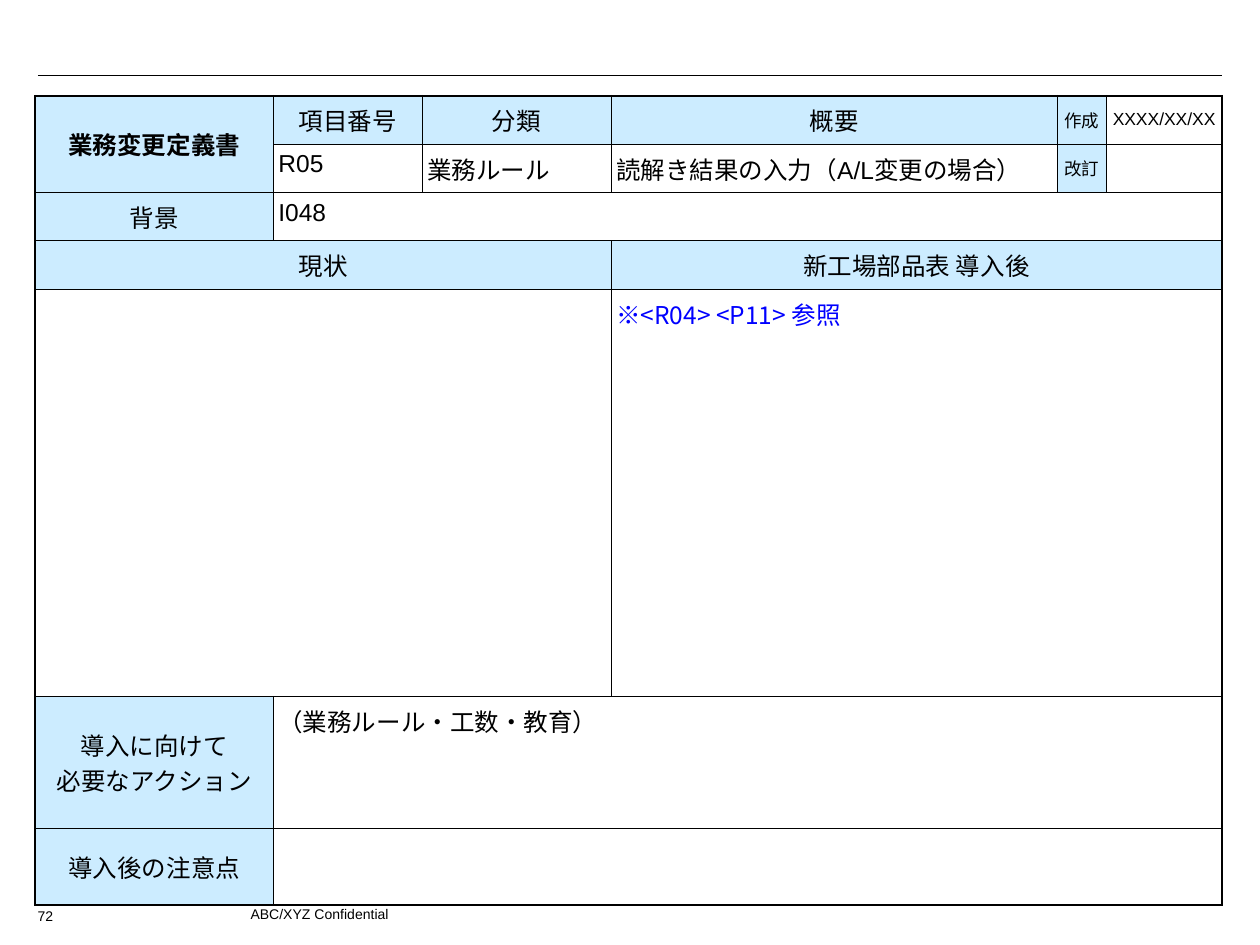
from lxml import etree
from pptx import Presentation
from pptx.dml.color import RGBColor
from pptx.enum.shapes import MSO_CONNECTOR
from pptx.enum.text import MSO_ANCHOR, PP_ALIGN
from pptx.oxml.ns import qn
from pptx.util import Inches, Pt

CENTER, LEFT = PP_ALIGN.CENTER, PP_ALIGN.LEFT
TOP, MIDDLE = MSO_ANCHOR.TOP, MSO_ANCHOR.MIDDLE
STRAIGHT = MSO_CONNECTOR.STRAIGHT

COLORS = {"ink": "000000", "label": "CCECFF", "note": "0000FF"}
LATIN, JAPANESE = "Arial", "Noto Sans CJK JP"
PLAIN_STYLE = "{2D5ABB26-0587-4C30-8999-92F81FD0307C}"
OUTER, INNER = 1.08, 0.45

COLUMNS = [1.89, 1.18, 1.5, 3.54, 0.39, 0.92]
ROWS = [0.31, 0.31, 0.31, 0.31, 3.23, 1.05, 0.61]

LABEL = {"fill": "label", "align": CENTER, "anchor": MIDDLE}
SMALL = {"size": 10, "align": CENTER, "anchor": MIDDLE}
SMALL_LABEL = {**LABEL, "size": 10, "side": 0.02}

# row, column, rows spanned, columns spanned, text, format
CELLS = [
    (0, 0, 2, 1, "業務変更定義書", {**LABEL, "bold": True}),
    (0, 1, 1, 1, "項目番号", LABEL),
    (0, 2, 1, 1, "分類", LABEL),
    (0, 3, 1, 1, "概要", LABEL),
    (0, 4, 1, 1, "作成", SMALL_LABEL),
    (0, 5, 1, 1, "XXXX/XX/XX", SMALL),
    (1, 1, 1, 1, "R05", {}),
    (1, 2, 1, 1, "業務ルール", {"anchor": MIDDLE}),
    (1, 3, 1, 1, "読解き結果の入力（A/L変更の場合）", {"anchor": MIDDLE}),
    (1, 4, 1, 1, "改訂", SMALL_LABEL),
    (1, 5, 1, 1, "", {}),
    (2, 0, 1, 1, "背景", LABEL),
    (2, 1, 1, 5, "I048", {}),
    (3, 0, 1, 3, "現状", LABEL),
    (3, 3, 1, 3, "新工場部品表 導入後", LABEL),
    (4, 0, 1, 3, "", {}),
    (4, 3, 1, 3, "※<R04> <P11> 参照", {"font": JAPANESE, "color": "note"}),
    (5, 0, 1, 1, "導入に向けて\n必要なアクション", LABEL),
    (5, 1, 1, 5, "（業務ルール・工数・教育）", {}),
    (6, 0, 1, 1, "導入後の注意点", LABEL),
    (6, 1, 1, 5, "", {}),
]

# left, top, width, text
FOOTERS = [(1.89, 7.14, 6.5, "ABC/XYZ Confidential"), (0.2, 7.15, 0.4, "72")]


def write_text(frame, text, size=14, bold=False, color="ink", font=LATIN, align=LEFT):
    for index, line in enumerate(text.split("\n")):
        paragraph = frame.add_paragraph() if index else frame.paragraphs[0]
        paragraph.alignment = align
        if not line:
            etree.SubElement(paragraph._p, qn("a:endParaRPr"), sz=str(size * 100))
            continue
        run = paragraph.add_run()
        run.text = line
        run.font.size = Pt(size)
        run.font.bold = bold
        run.font.name = font
        run.font.color.rgb = RGBColor.from_string(COLORS[color])
        etree.SubElement(run._r.get_or_add_rPr(), qn("a:ea"), typeface=JAPANESE)


def set_borders(cell, widths):
    properties = cell._tc.get_or_add_tcPr()
    for side, width in widths.items():
        line = etree.SubElement(properties, qn(f"a:ln{side}"), w=str(Pt(width)))
        fill = etree.SubElement(line, qn("a:solidFill"))
        etree.SubElement(fill, qn("a:srgbClr"), val=COLORS["ink"])


def fill_cell(table, row, column, row_span, column_span, text,
              fill=None, anchor=TOP, side=0.04, **text_format):
    last_row, last_column = row + row_span - 1, column + column_span - 1
    cell = table.cell(row, column)
    if row_span * column_span > 1:
        cell.merge(table.cell(last_row, last_column))

    # Heavy lines around the table, light ones inside it
    widths = {
        "L": INNER if column else OUTER,
        "R": OUTER if last_column == len(COLUMNS) - 1 else INNER,
        "T": INNER if row else OUTER,
        "B": OUTER if last_row == len(ROWS) - 1 else INNER,
    }
    for r in range(row, last_row + 1):
        for c in range(column, last_column + 1):
            on_edge = {"L": c == column, "R": c == last_column,
                       "T": r == row, "B": r == last_row}
            is_origin = (r, c) == (row, column)
            part = table.cell(r, c)
            set_borders(part, {key: width for key, width in widths.items()
                               if is_origin or on_edge[key]})
            if fill:
                part.fill.solid()
                part.fill.fore_color.rgb = RGBColor.from_string(COLORS[fill])
            else:
                part.fill.background()

    cell.margin_left = cell.margin_right = Inches(side)
    cell.margin_top = cell.margin_bottom = Inches(0.05)
    cell.vertical_anchor = anchor
    write_text(cell.text_frame, text, **text_format)


presentation = Presentation()
presentation.slide_width, presentation.slide_height = Inches(10), Inches(7.5)
slide = presentation.slides.add_slide(presentation.slide_layouts[6])

# Header rule
rule = slide.shapes.add_connector(STRAIGHT, Inches(0.3), Inches(0.6), Inches(9.7), Inches(0.6))
rule.line.color.rgb = RGBColor.from_string(COLORS["ink"])
rule.line.width = Pt(0.75)
etree.SubElement(rule._element.spPr, qn("a:effectLst"))

# Definition form
table = slide.shapes.add_table(
    len(ROWS), len(COLUMNS), Inches(0.28), Inches(0.76),
    Inches(sum(COLUMNS)), Inches(sum(ROWS))).table
table.first_row = table.horz_banding = False
table._tbl.tblPr.find(qn("a:tableStyleId")).text = PLAIN_STYLE
for column, width in zip(table.columns, COLUMNS):
    column.width = Inches(width)
for row, height in zip(table.rows, ROWS):
    row.height = Inches(height)
for row, column, row_span, column_span, text, cell_format in CELLS:
    fill_cell(table, row, column, row_span, column_span, text, **cell_format)

# Footer
for left, top, width, text in FOOTERS:
    box = slide.shapes.add_textbox(Inches(left), Inches(top), Inches(width), Inches(0.2))
    box.text_frame.word_wrap = True
    write_text(box.text_frame, text, size=8)

presentation.save("out.pptx")
